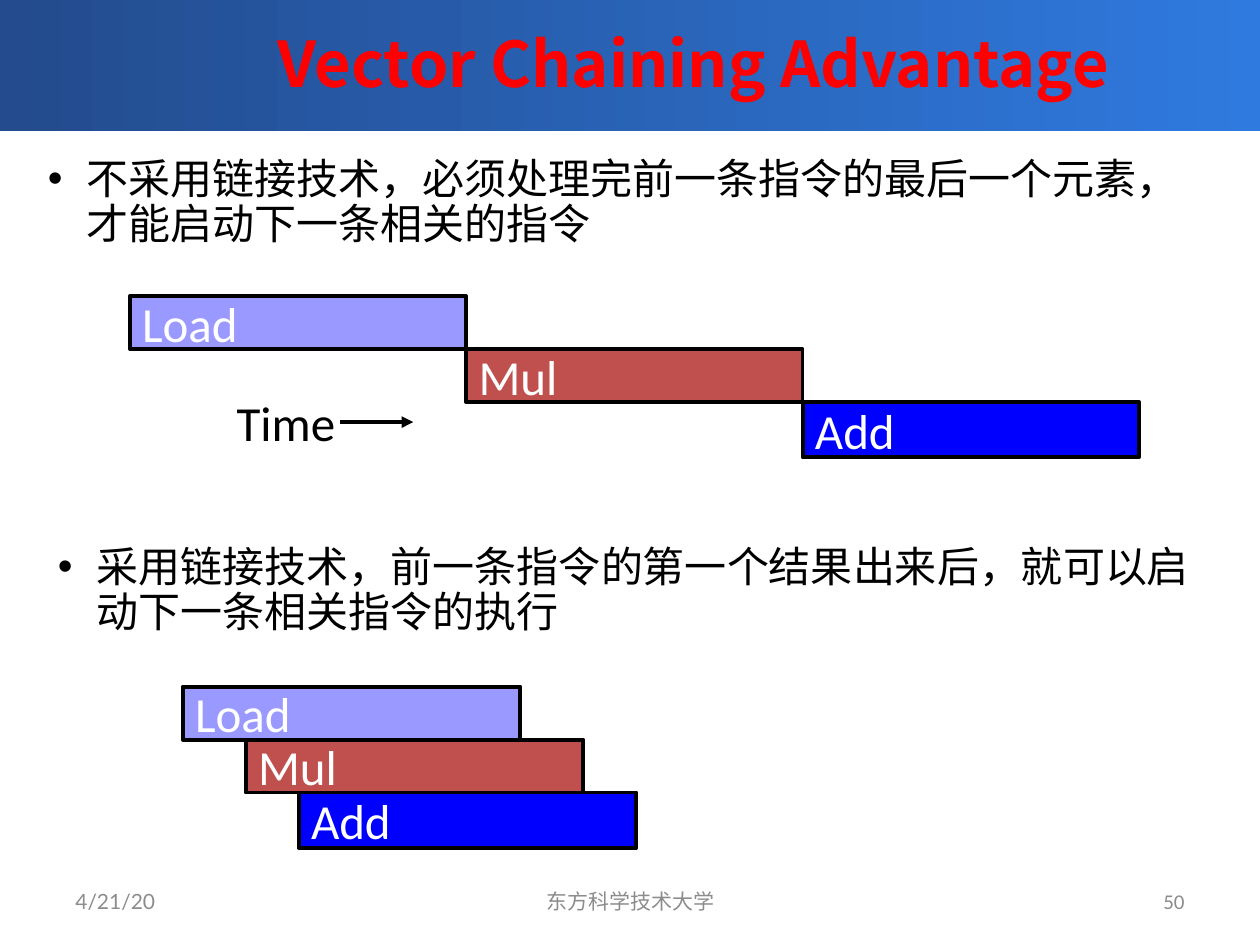
from dataclasses import dataclass

from lxml.etree import SubElement
from pptx import Presentation
from pptx.dml.color import RGBColor
from pptx.enum.shapes import MSO_CONNECTOR, MSO_SHAPE
from pptx.enum.text import MSO_ANCHOR, MSO_AUTO_SIZE, PP_ALIGN
from pptx.oxml.ns import qn
from pptx.util import Inches, Pt


@dataclass(frozen=True)
class Theme:
    ink: str = "000000"
    paper: str = "FFFFFF"
    title: str = "FF0000"
    muted: str = "8C8C8C"
    dark: str = "234B8D"
    light: str = "2F7ADF"
    load: str = "9999FF"
    mul: str = "C0504D"
    add: str = "0000FF"
    head: int = 36
    label: int = 28
    body: int = 24
    foot: int = 12
    line: float = 2.25
    latin: str = "Calibri"
    plain: str = "Lato"
    asian: str = "Noto Sans CJK SC"


class Deck:
    cols, rows = 100, 75

    def __init__(self, theme):
        self.theme = theme
        self.file = Presentation()
        self.file.slide_width, self.file.slide_height = Inches(10), Inches(7.5)
        self.slide = self.file.slides.add_slide(self.file.slide_layouts[3])
        self.shapes = self.slide.shapes

    def place(self, left, top, width, height):
        across = self.file.slide_width / self.cols
        down = self.file.slide_height / self.rows
        return [round(n) for n in (left * across, top * down, width * across, height * down)]

    def move(self, shape, box):
        shape.left, shape.top, shape.width, shape.height = self.place(*box)

    def label(self, shape, text, size, color, face, align=PP_ALIGN.LEFT, bold=False, wrap=True):
        frame = shape.text_frame
        frame.text = text
        frame.word_wrap = wrap
        frame.auto_size = MSO_AUTO_SIZE.NONE
        frame.vertical_anchor = MSO_ANCHOR.MIDDLE
        para = frame.paragraphs[0]
        para.alignment = align
        font = para.font
        font.size, font.bold, font.name = Pt(size), bold, face
        font.color.rgb = RGBColor.from_string(color)
        props = para._p.get_or_add_pPr().find(qn("a:defRPr"))
        SubElement(props, qn("a:ea")).set("typeface", self.theme.asian)
        return para

    def rect(self, box):
        shape = self.shapes.add_shape(MSO_SHAPE.RECTANGLE, *self.place(*box))
        shape.shadow.inherit = False
        return shape

    def title(self, text, box, band):
        look = self.theme
        title = self.shapes.title
        self.move(title, box)
        self.label(title, text, look.head, look.title, look.asian, PP_ALIGN.CENTER, True)
        back = self.rect(band)
        back.line.fill.background()
        back.fill.gradient()
        back.fill.gradient_angle = 0
        for stop, color in zip(back.fill.gradient_stops, (look.dark, look.light)):
            stop.color.rgb = RGBColor.from_string(color)
        title.element.addprevious(back.element)

    def point(self, slot, text, box):
        look = self.theme
        shape = self.slide.placeholders[slot]
        self.move(shape, box)
        para = self.label(shape, text, look.body, look.ink, look.asian)
        para.line_spacing, para.space_before = 0.9, Pt(7.2)
        props = para._p.get_or_add_pPr()
        props.set("marL", str(Inches(0.31)))
        props.set("indent", str(-Inches(0.31)))
        mark = SubElement(props, qn("a:buChar"))
        mark.set("char", "•")
        props.find(qn("a:defRPr")).addprevious(mark)

    def bar(self, text, color, box):
        look = self.theme
        shape = self.rect(box)
        shape.fill.solid()
        shape.fill.fore_color.rgb = RGBColor.from_string(color)
        shape.line.color.rgb = RGBColor.from_string(look.ink)
        shape.line.width = Pt(look.line)
        self.label(shape, text, look.label, look.paper, look.latin)

    def steps(self, lefts, top, width):
        look = self.theme
        tasks = (("Load", look.load, 4.2), ("Mul", look.mul, 4.2), ("Add", look.add, 4.4))
        for row, (left, (name, color, height)) in enumerate(zip(lefts, tasks)):
            self.bar(name, color, (left, top + row * 4.2, width, height))

    def text(self, text, box, size, color, face, align=PP_ALIGN.LEFT, wrap=True):
        shape = self.shapes.add_textbox(*self.place(*box))
        self.label(shape, text, size, color, face, align, wrap=wrap)

    def arrow(self, left, top, width):
        x, y, span, _ = self.place(left, top, width, 0)
        line = self.shapes.add_connector(MSO_CONNECTOR.STRAIGHT, x, y, x + span, y)
        line.line.color.rgb = RGBColor.from_string(self.theme.ink)
        line.line.width = Pt(self.theme.line)
        props = line.element.spPr
        SubElement(props.find(qn("a:ln")), qn("a:tailEnd")).set("type", "triangle")
        SubElement(props, qn("a:effectLst"))


def main():
    look = Theme()
    deck = Deck(look)
    deck.title("Vector Chaining Advantage", (10, 0, 90, 9.9), (0, -0.3, 100, 10.7))

    deck.point(1, "不采用链接技术，必须处理完前一条指令的最后一个元素，才能启动下一条相关的指令",
               (2.8, 12, 93.3, 8.3))
    wide = 26.7
    deck.steps([10.3 + wide * n for n in range(3)], 23.5, wide)
    deck.text("Time", (17.8, 30.6, 9.9, 5.7), look.label, look.ink, look.latin, wrap=False)
    deck.arrow(27, 33.5, 5.8)

    deck.point(2, "采用链接技术，前一条指令的第一个结果出来后，就可以启动下一条相关指令的执行",
               (3.6, 42.8, 93.9, 8.3))
    deck.steps((14.5, 19.5, 23.7), 54.5, 26.8)

    feet = (
        ("4/21/20", 5, 23.3, look.plain, PP_ALIGN.LEFT),
        ("东方科学技术大学", 34.2, 31.7, look.plain, PP_ALIGN.CENTER),
        ("50", 71.7, 23.3, look.latin, PP_ALIGN.RIGHT),
    )
    for text, left, width, face, align in feet:
        deck.text(text, (left, 69.5, width, 4), look.foot, look.muted, face, align)
    deck.file.save("out.pptx")


if __name__ == "__main__":
    main()
